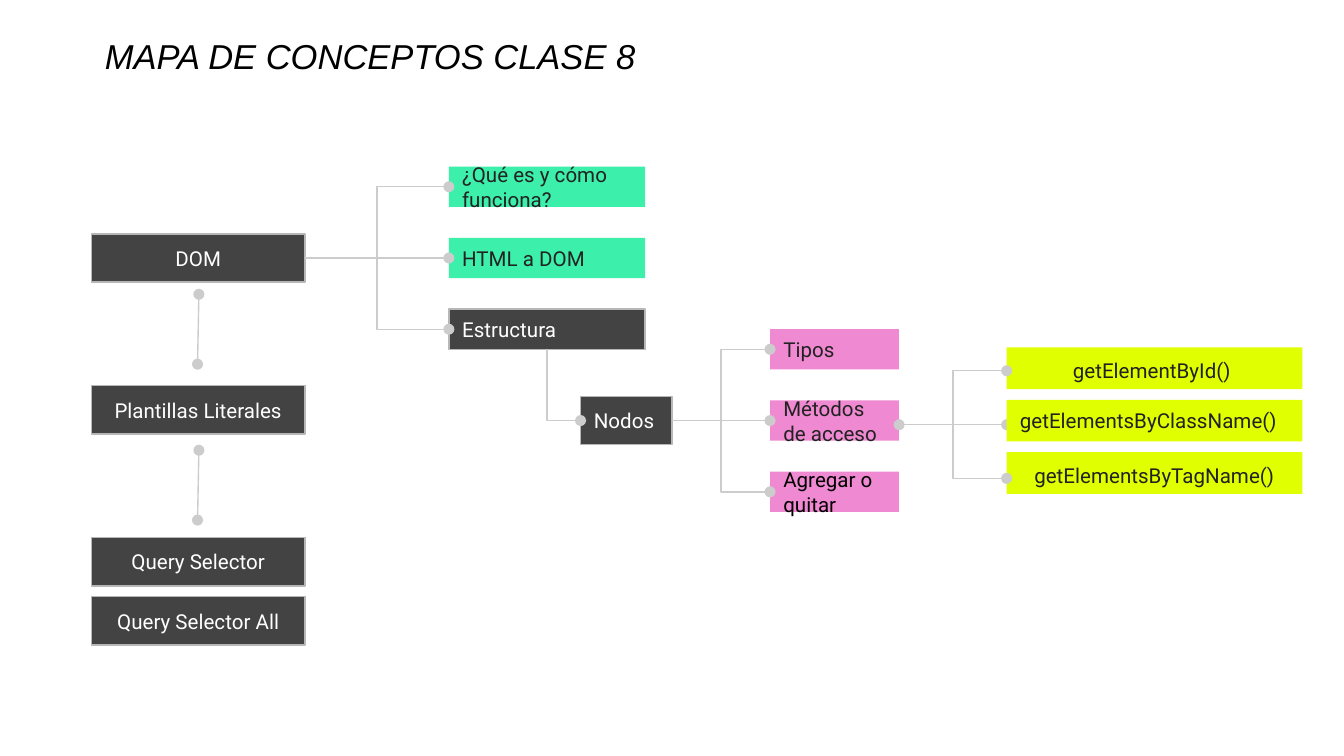
from lxml import etree
from pptx import Presentation
from pptx.dml.color import RGBColor
from pptx.enum.shapes import MSO_CONNECTOR, MSO_SHAPE
from pptx.enum.text import MSO_ANCHOR, MSO_AUTO_SIZE, PP_ALIGN
from pptx.oxml.ns import qn
from pptx.util import Inches, Pt

RECTANGLE = MSO_SHAPE.RECTANGLE
STRAIGHT, ELBOW = MSO_CONNECTOR.STRAIGHT, MSO_CONNECTOR.ELBOW
LEFT, CENTER = PP_ALIGN.LEFT, PP_ALIGN.CENTER
TOP, MIDDLE = MSO_ANCHOR.TOP, MSO_ANCHOR.MIDDLE

BLACK = RGBColor(0x00, 0x00, 0x00)
WHITE = RGBColor(0xFF, 0xFF, 0xFF)
INK = RGBColor(0x22, 0x22, 0x22)
CHARCOAL = RGBColor(0x43, 0x43, 0x43)
BORDER = RGBColor(0xB7, 0xB7, 0xB7)
LINK = RGBColor(0xCC, 0xCC, 0xCC)
GREEN = RGBColor(0x3C, 0xEF, 0xAB)
PINK = RGBColor(0xEF, 0x89, 0xD2)
YELLOW = RGBColor(0xE0, 0xFF, 0x00)

# Columns as (left, width), rows as vertical centres, all in inches
TOPICS, DOM_PARTS, NODES = (0.68, 1.59), (3.34, 1.46), (4.32, 0.68)
NODE_PARTS, METHODS = (5.73, 0.96), (7.49, 2.2)
TALL, LOW, METHOD = 0.36, 0.3, 0.31
ROW_GAP, METHOD_GAP, TOPIC_GAP = 0.53, 0.39, 1.13
DOM_ROW, NODE_ROW, ACCESS_ROW = 1.92, 3.13, 3.16
BOTH_ENDS = ("headEnd", "tailEnd")


def write_text(frame, text, font="Roboto", size=11, color=INK, italic=False,
               align=LEFT, anchor=MIDDLE, spacing=None):
    frame.word_wrap = True
    frame.auto_size = MSO_AUTO_SIZE.NONE
    frame.vertical_anchor = anchor
    frame.margin_left = frame.margin_right = Inches(0.1)
    frame.margin_top = frame.margin_bottom = Inches(0.1)
    frame.text = text
    paragraph = frame.paragraphs[0]
    paragraph.alignment = align
    paragraph.line_spacing = spacing
    paragraph.font.name = font
    paragraph.font.size = Pt(size)
    paragraph.font.italic = italic
    paragraph.font.color.rgb = color


def link(start, end, kind=ELBOW, dots=("tailEnd",), preset=None):
    line = slide.shapes.add_connector(kind, *map(Inches, start + end))
    line.line.color.rgb = LINK
    line.line.width = Pt(0.75)
    properties = line._element.spPr
    if preset:
        properties.find(qn("a:prstGeom")).set("prst", preset)
    for dot in dots:
        etree.SubElement(properties.find(qn("a:ln")), qn(f"a:{dot}"), type="oval")
    etree.SubElement(properties, qn("a:effectLst"))


# Widescreen slide, 16:9
deck = Presentation()
deck.slide_width = Inches(10)
deck.slide_height = deck.slide_width * 9 // 16
slide = deck.slides.add_slide(deck.slide_layouts[5])

# Title
title = slide.shapes.title
title.left, title.top = Inches(0.68), Inches(0.22)
title.width, title.height = Inches(7.77), Inches(0.46)
write_text(title.text_frame, "MAPA DE CONCEPTOS CLASE 8", font="Arial", size=18.5,
           color=BLACK, italic=True, anchor=TOP, spacing=0.8)

# Concept boxes: text, column, row centre, height, fill, text format
dark = {"color": WHITE}
dark_centered = {"color": WHITE, "align": CENTER}
method_centered = {"align": CENTER, "spacing": 1.15}
concepts = [
    ("DOM", TOPICS, DOM_ROW, TALL, CHARCOAL, dark_centered),
    ("Plantillas Literales", TOPICS, DOM_ROW + TOPIC_GAP, TALL, CHARCOAL, dark_centered),
    ("Query Selector", TOPICS, DOM_ROW + 2 * TOPIC_GAP, TALL, CHARCOAL, dark_centered),
    ("Query Selector All", TOPICS, 4.62, TALL, CHARCOAL, dark_centered),
    ("¿Qué es y cómo funciona?", DOM_PARTS, DOM_ROW - ROW_GAP, LOW, GREEN, {}),
    ("HTML a DOM", DOM_PARTS, DOM_ROW, LOW, GREEN, {}),
    ("Estructura", DOM_PARTS, DOM_ROW + ROW_GAP, LOW, CHARCOAL, dark),
    ("Nodos", NODES, NODE_ROW, TALL, CHARCOAL, dark),
    ("Tipos", NODE_PARTS, NODE_ROW - ROW_GAP, LOW, PINK, {}),
    ("Métodos de acceso", NODE_PARTS, NODE_ROW, LOW, PINK, {}),
    ("Agregar o quitar", NODE_PARTS, NODE_ROW + ROW_GAP, LOW, PINK, {"color": BLACK}),
    ("getElementById() ", METHODS, NODE_ROW - METHOD_GAP, METHOD, YELLOW, method_centered),
    ("getElementsByClassName()", METHODS, NODE_ROW, METHOD, YELLOW, {}),
    ("getElementsByTagName()", METHODS, NODE_ROW + METHOD_GAP, METHOD, YELLOW, method_centered),
]
access_end = sum(NODE_PARTS)
for text, (left, width), row, height, fill, text_format in concepts:
    # The access line runs over its parent and under its method
    if text == "getElementsByClassName()":
        link((access_end, ACCESS_ROW), (left, ACCESS_ROW), STRAIGHT, BOTH_ENDS)
    concept = slide.shapes.add_shape(RECTANGLE, Inches(left), Inches(row - height / 2),
                                     Inches(width), Inches(height))
    concept.shadow.inherit = False
    concept.fill.solid()
    concept.fill.fore_color.rgb = fill
    if fill == CHARCOAL:
        concept.line.color.rgb = BORDER
        concept.line.width = Pt(0.75)
    else:
        concept.line.fill.background()
    write_text(concept.text_frame, text, **text_format)

# Branches from each parent to its children
branches = [
    (sum(TOPICS), DOM_ROW, DOM_PARTS[0], (-ROW_GAP, 0, ROW_GAP)),
    (sum(NODES), NODE_ROW, NODE_PARTS[0], (-ROW_GAP, 0, ROW_GAP)),
    (access_end, ACCESS_ROW, METHODS[0], (-0.4, 0.4)),
]
for start, row, end, offsets in branches:
    for offset in offsets:
        link((start, row), (end, row + offset))

# Single bend between Nodos and Estructura
link((NODES[0], NODE_ROW), (DOM_PARTS[0] + DOM_PARTS[1] / 2, DOM_ROW + ROW_GAP + LOW / 2),
     dots=("headEnd",), preset="bentConnector2")

# Links down the topic column
for bottom in (2.71, 3.87):
    link((1.47, bottom), (1.48, bottom - 0.52), STRAIGHT, BOTH_ENDS)

deck.save("out.pptx")
